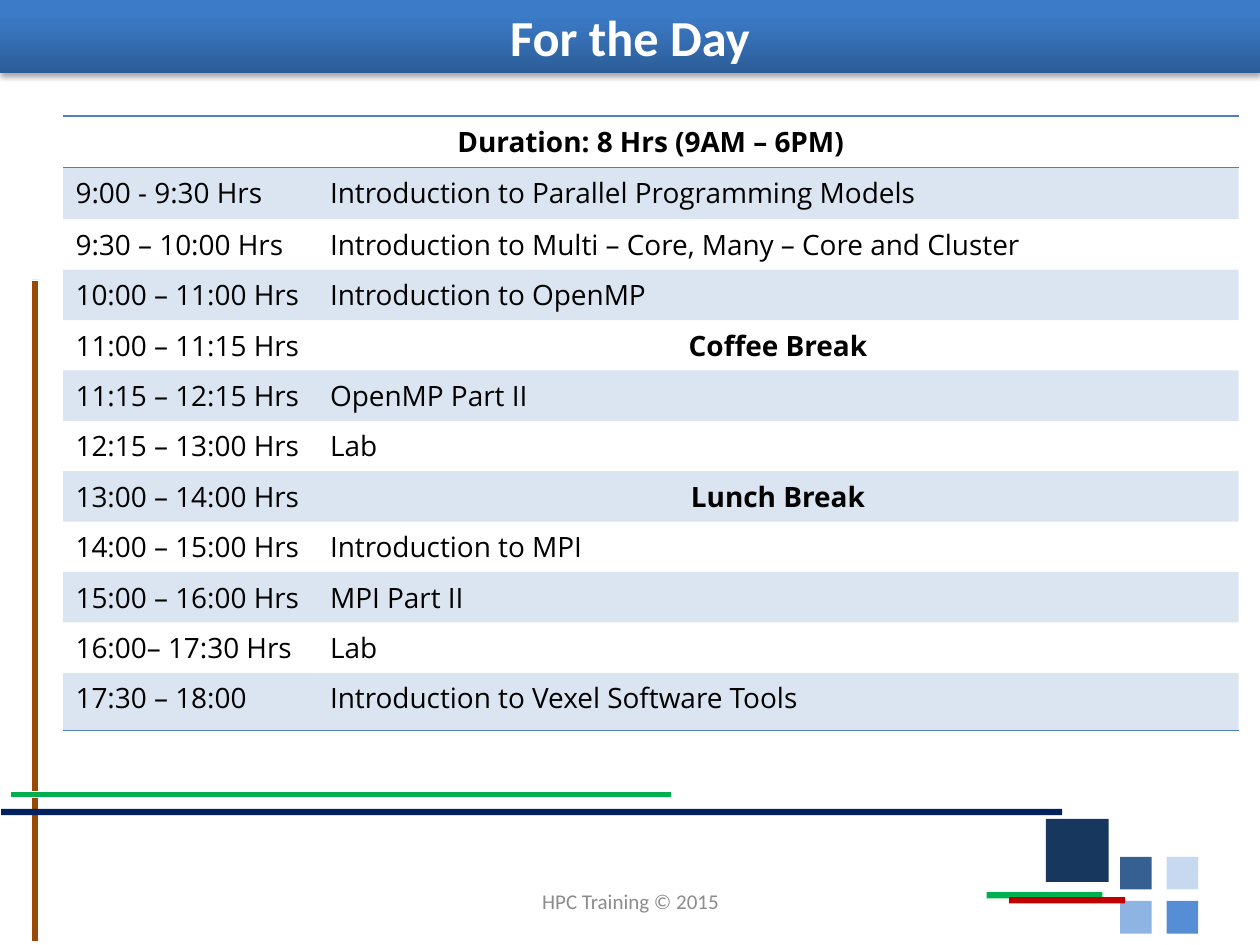
import lxml.etree
import pptx
import pptx.dml.color
import pptx.enum.shapes
import pptx.enum.text
import pptx.oxml
import pptx.oxml.ns
import pptx.util

Inches = pptx.util.Inches
Pt = pptx.util.Pt
qn = pptx.oxml.ns.qn
CENTER = pptx.enum.text.PP_ALIGN.CENTER
MIDDLE = pptx.enum.text.MSO_ANCHOR.MIDDLE

COLORS = {
    "white": "FFFFFF", "black": "000000", "gray": "8C8C8C",
    "navy": "002060", "dark_blue": "17375E", "steel": "376092",
    "sky": "8EB4E3", "pale": "C6D9F1", "blue": "558ED5",
    "green": "00B050", "red": "C00000", "brown": "984807",
    "accent": "4F81BD", "title_bottom": "2C5D98", "title_top": "3C7BC7",
}
RGB = {name: pptx.dml.color.RGBColor.from_string(value) for name, value in COLORS.items()}


def write_text(paragraph, text, size, font, color, bold=False, alignment=None):
    """Add one formatted run to a paragraph."""
    run = paragraph.add_run()
    run.text = text
    run.font.size = Pt(size)
    run.font.name = font
    run.font.bold = bold
    run.font.color.rgb = RGB[color]
    paragraph.alignment = alignment


def add_border(cell, side):
    """Draw a one point accent line on a cell side, lnT or lnB."""
    properties = cell._tc.get_or_add_tcPr()
    line = lxml.etree.Element(qn("a:" + side), w=str(Pt(1)))
    fill = lxml.etree.SubElement(line, qn("a:solidFill"))
    lxml.etree.SubElement(fill, qn("a:srgbClr"), val=COLORS["accent"])
    properties.insert(0, line)


presentation = pptx.Presentation()
presentation.slide_width = Inches(10)
presentation.slide_height = Inches(7.5)
slide = presentation.slides.add_slide(presentation.slide_layouts[5])

# Decoration: left, top, width, height, fill, rotation, outlined
decorations = [(8.3, 6.5, 0.5, 0.5, "dark_blue", 0, False)]
tiles = [["steel", "pale"], ["sky", "blue"]]
for row, names in enumerate(tiles):
    for column, name in enumerate(names):
        decorations.append((8.89 + 0.37 * column, 6.8 + 0.35 * row, 0.25, 0.26, name, 0, False))
decorations += [
    (7.83, 7.08, 0.92, 0.05, "green", 0, False),
    (8.01, 7.12, 0.92, 0.05, "red", 0, False),
    (-2.35, 4.82, 5.25, 0.05, "brown", 270, True),
    (0.01, 6.42, 8.42, 0.05, "navy", 0, False),
    (0.08, 6.28, 5.25, 0.05, "green", 0, True),
]
for left, top, width, height, color, rotation, outlined in decorations:
    shape = slide.shapes.add_shape(
        pptx.enum.shapes.MSO_SHAPE.RECTANGLE,
        Inches(left), Inches(top), Inches(width), Inches(height))
    shape.rotation = rotation
    shape.shadow.inherit = False
    shape.fill.solid()
    shape.fill.fore_color.rgb = RGB[color]
    if outlined:
        shape.line.color.rgb = RGB["white"]
        shape.line.width = Pt(0.25)
    else:
        shape.line.fill.background()

# Title band
title = slide.shapes.title
title.left, title.top, title.width, title.height = 0, 0, Inches(10), Inches(0.58)
title.fill.gradient()
title.fill.gradient_angle = 90
stops = zip(title.fill.gradient_stops, ["title_bottom", "title_top"], [0, 0.8])
for stop, color, position in stops:
    stop.color.rgb = RGB[color]
    stop.position = position
effects = lxml.etree.SubElement(title._element.spPr, qn("a:effectLst"))
shadow = lxml.etree.SubElement(
    effects, qn("a:outerShdw"), blurRad=str(Pt(3.1)), dist=str(Pt(1.8)),
    dir="5400000", rotWithShape="0")
shadow_color = lxml.etree.SubElement(shadow, qn("a:srgbClr"), val=COLORS["black"])
lxml.etree.SubElement(shadow_color, qn("a:alpha"), val="35000")
title.text_frame.vertical_anchor = MIDDLE
write_text(title.text_frame.paragraphs[0], "For the Day", 28.8, "Calibri", "white", True, CENTER)

# Footer
footer = slide.shapes.add_textbox(Inches(3.42), Inches(6.95), Inches(3.17), Inches(0.4))
footer.text_frame.word_wrap = True
footer.text_frame.vertical_anchor = MIDDLE
write_text(footer.text_frame.paragraphs[0], "HPC Training © 2015", 12, "Calibri", "gray",
           alignment=CENTER)

# Schedule
schedule = [
    ("Duration: 8 Hrs (9AM – 6PM)", ""),
    ("9:00 - 9:30 Hrs", "Introduction to Parallel Programming Models"),
    ("9:30 – 10:00 Hrs", "Introduction to Multi – Core, Many – Core and Cluster"),
    ("10:00 – 11:00 Hrs", "Introduction to OpenMP"),
    ("11:00 – 11:15 Hrs", "Coffee Break"),
    ("11:15 – 12:15 Hrs", "OpenMP Part II"),
    ("12:15 – 13:00 Hrs", "Lab"),
    ("13:00 – 14:00 Hrs", "Lunch Break"),
    ("14:00 – 15:00 Hrs", "Introduction to MPI"),
    ("15:00 – 16:00 Hrs", "MPI Part II"),
    ("16:00– 17:30 Hrs", "Lab"),
    ("17:30 – 18:00", "Introduction to Vexel Software Tools"),
]
last_row = len(schedule) - 1
frame = slide.shapes.add_table(
    len(schedule), 2, Inches(0.5), Inches(0.92), Inches(9.33), Inches(4.9))
table = frame.table
table.first_row = False
table.horz_banding = False
# Built-in style without fills or grid lines
table._tbl.tblPr.find(qn("a:tableStyleId")).text = "{2D5ABB26-0587-4C30-8999-92F81FD0307C}"
table.columns[0].width = Inches(2.02)
table.columns[1].width = Inches(7.31)
table.cell(0, 0).merge(table.cell(0, 1))

for row, texts in enumerate(schedule):
    table.rows[row].height = Inches({0: 0.41, 1: 0.41, last_row: 0.46}.get(row, 0.4))
    for column, text in enumerate(texts):
        cell = table.cell(row, column)
        if row % 2:
            cell.fill.solid()
            cell.fill.fore_color.rgb = RGB["accent"]
            band_color = cell._tc.tcPr.find(".//" + qn("a:srgbClr"))
            lxml.etree.SubElement(band_color, qn("a:alpha"), val="20000")
        else:
            cell.fill.background()
        if row in (0, last_row):
            add_border(cell, "lnB")
        if row == 0:
            add_border(cell, "lnT")
        if text:
            strong = row == 0 or text.endswith("Break")
            write_text(cell.text_frame.paragraphs[0], text, 16, "Open Sans", "black",
                       strong, CENTER if strong else None)

presentation.save("out.pptx")
